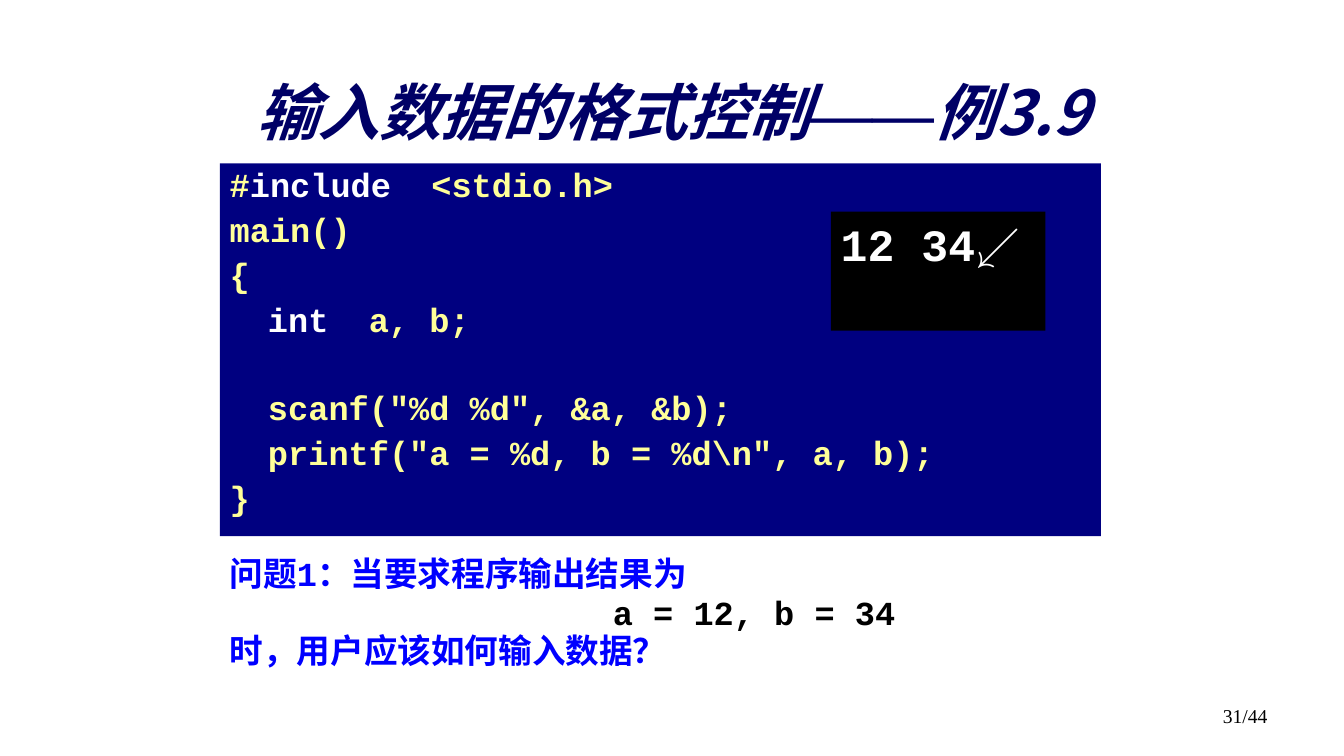
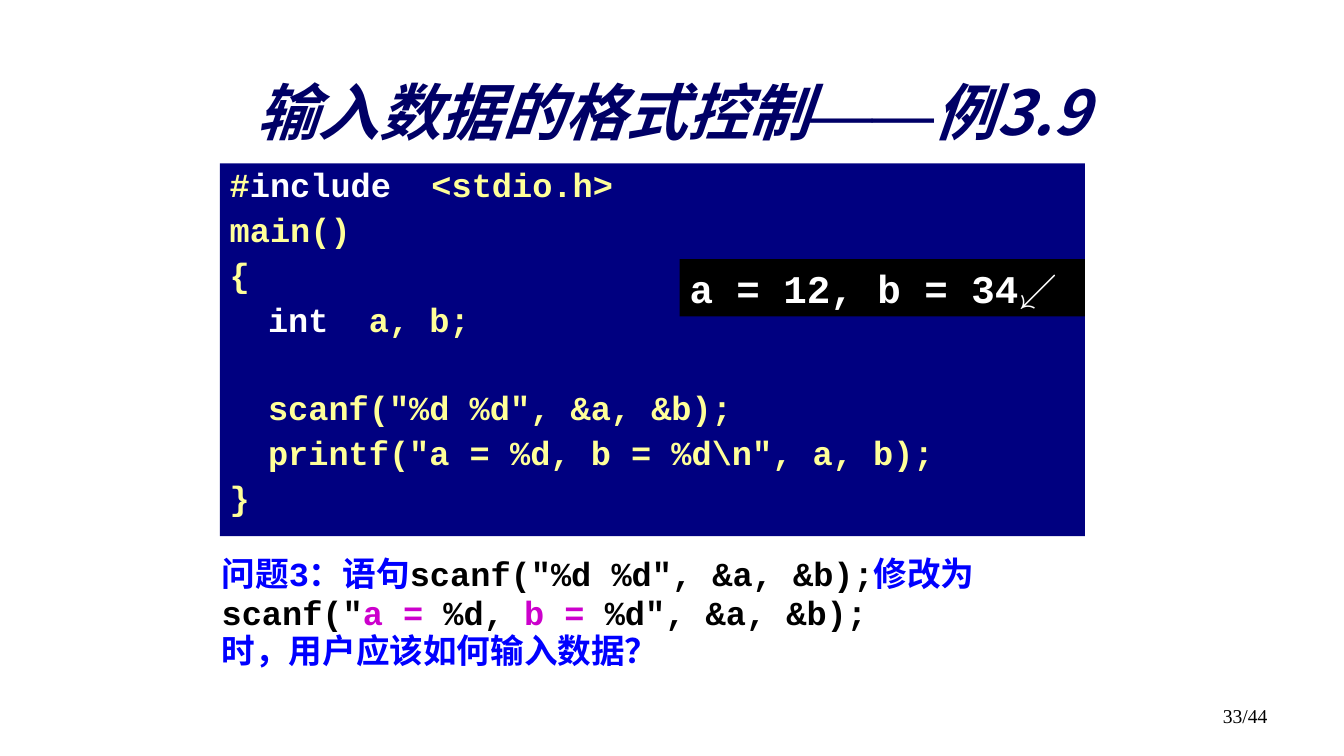
from lxml import etree
from pptx import Presentation
from pptx.dml.color import RGBColor
from pptx.enum.shapes import MSO_SHAPE
from pptx.enum.text import MSO_ANCHOR, PP_ALIGN
from pptx.oxml.ns import qn
from pptx.util import Pt

PX = 9144  # 100 px to the inch
RECTANGLE = MSO_SHAPE.RECTANGLE
MIDDLE, TOP = MSO_ANCHOR.MIDDLE, MSO_ANCHOR.TOP
LEFT, CENTER, RIGHT = PP_ALIGN.LEFT, PP_ALIGN.CENTER, PP_ALIGN.RIGHT

# Shared colours and fonts
NAVY, BLACK, WHITE = "000080", "000000", "FFFFFF"
YELLOW, BLUE, MAGENTA, TITLE_BLUE = "FFFF99", "0000FF", "CC00CC", "000066"
MONO, HAN, SERIF = "Courier New", "Noto Sans CJK SC", "Times New Roman"
PAGE_COUNT = 44
INDENT = 38

# Shared text formats
CODE = {"name": MONO, "size": Pt(24), "bold": True}
TITLE = {"name": HAN, "size": Pt(44), "bold": True, "italic": True}
FOOTER = {"name": SERIF, "size": Pt(14)}
CODE_LINE = {"line_spacing": 0.9, "space_before": Pt(6.3)}
AFTER_GAP = {**CODE_LINE, "space_before": Pt(37)}
QUESTION_LINE = {"line_spacing": 0.95}

# Code lines: indent, paragraph format, spans of text and colour
PROGRAM = [
    (0, CODE_LINE, [("#", YELLOW), ("include", WHITE), ("  <stdio.h>", YELLOW)]),
    (0, CODE_LINE, [("main()", YELLOW)]),
    (0, CODE_LINE, [("{", YELLOW)]),
    (INDENT, CODE_LINE, [("int", WHITE), ("  a, b;", YELLOW)]),
    (INDENT, AFTER_GAP, [('scanf("%d %d", &a, &b);', YELLOW)]),
    (INDENT, CODE_LINE, [('printf("a = %d, b = %d\\n", a, b);', YELLOW)]),
    (0, CODE_LINE, [("}", YELLOW)]),
]
QUESTION_END = (0, QUESTION_LINE, [("时，用户应该如何输入数据？", BLUE)])

PAGES = [
    {
        "number": 31,
        "code_width": 874,
        "console": ((824, 210, 213, 118), "12 34↙", 32),
        "question_at": (218, 547, 866, 158),
        "question": [
            (0, QUESTION_LINE, [("问题1：当要求程序输出结果为", BLUE)]),
            (380, QUESTION_LINE, [("a = 12, b = 34", BLACK)]),
            QUESTION_END,
        ],
    },
    {
        "number": 33,
        "code_width": 858,
        "console": ((674, 257, 402, 57), "a = 12, b = 34↙", 28),
        "question_at": (210, 547, 874, 158),
        "question": [
            (0, QUESTION_LINE, [
                ("问题3：语句", BLUE), ('scanf("%d %d", &a, &b);', BLACK),
                ("修改为", BLUE), ('scanf("', BLACK), ("a =", MAGENTA),
                (" %d, ", BLACK), ("b =", MAGENTA), (' %d", &a, &b);', BLACK),
            ]),
            QUESTION_END,
        ],
    },
]


def color(value):
    return RGBColor.from_string(value)


def set_all(target, formats):
    for name, value in formats.items():
        setattr(target, name, value)


def add_box(page, at, fill=None, anchor=TOP):
    """Add a text box, or a filled rectangle when a fill is given."""
    place = [value * PX for value in at]
    if fill:
        box = page.shapes.add_shape(RECTANGLE, *place)
        box.shadow.inherit = False
        box.fill.solid()
        box.fill.fore_color.rgb = color(fill)
        box.line.fill.background()
    else:
        box = page.shapes.add_textbox(*place)
    set_all(box.text_frame, {"word_wrap": True, "vertical_anchor": anchor})
    return box


def add_span(para, text, formats, ink, han_font=None):
    span = para.add_run()
    span.text = text
    set_all(span.font, formats)
    span.font.color.rgb = color(ink)
    if han_font:
        latin = span.font._element.find(qn("a:latin"))
        east_asian = etree.Element(qn("a:ea"), typeface=han_font)
        latin.addnext(east_asian)
    return span


def add_text_shadow(span):
    fill = span.font._element.find(qn("a:solidFill"))
    effects = etree.Element(qn("a:effectLst"))
    shadow = etree.SubElement(effects, qn("a:outerShdw"), dist="35921", dir="2700000")
    etree.SubElement(shadow, qn("a:srgbClr"), val=BLACK)
    fill.addnext(effects)


def write_lines(box, lines):
    frame = box.text_frame
    for index, (indent, formats, spans) in enumerate(lines):
        para = frame.add_paragraph() if index else frame.paragraphs[0]
        set_all(para, {"alignment": LEFT, **formats})
        if indent:
            para._p.get_or_add_pPr().set("marL", str(indent * PX))
        for text, ink in spans:
            add_span(para, text, CODE, ink, HAN)


def add_title(page):
    box = add_box(page, (226, 70, 882, 92), anchor=MIDDLE)
    para = box.text_frame.paragraphs[0]
    set_all(para, {"alignment": CENTER, "line_spacing": 0.85})
    for text, font in (("输入数据的格式控制", HAN), ("——", SERIF), ("例3.9", HAN)):
        span = add_span(para, text, {**TITLE, "name": font}, TITLE_BLUE, font)
        add_text_shadow(span)


def add_footer(page, number):
    para = add_box(page, (956, 693, 311, 52)).text_frame.paragraphs[0]
    para.alignment = RIGHT
    add_span(para, f"{number}/{PAGE_COUNT}", FOOTER, BLACK)


def add_console(page, at, text, size):
    para = add_box(page, at, BLACK).text_frame.paragraphs[0]
    para.alignment = LEFT
    add_span(para, text, {**CODE, "size": Pt(size)}, WHITE)


def add_page(deck, content):
    page = deck.slides.add_slide(deck.slide_layouts[6])
    add_footer(page, content["number"])
    write_lines(add_box(page, (218, 162, content["code_width"], 370), NAVY), PROGRAM)
    write_lines(add_box(page, content["question_at"]), content["question"])
    add_console(page, *content["console"])
    add_title(page)


def main():
    deck = Presentation()
    deck.slide_width, deck.slide_height = 1333 * PX, 750 * PX
    for content in PAGES:
        add_page(deck, content)
    deck.save("out.pptx")


if __name__ == "__main__":
    main()
